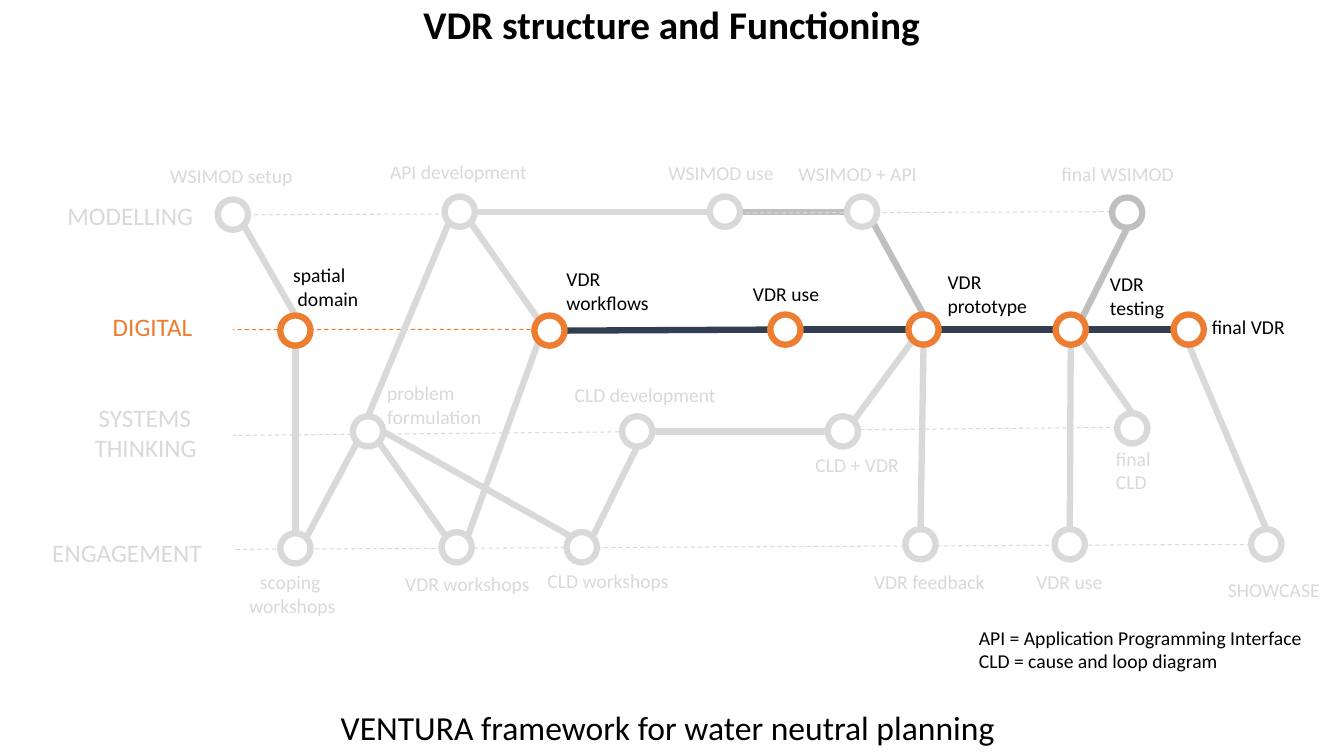
"""Builds the VDR slide: a map of linked project milestones in four strands."""
from lxml.etree import SubElement
from pptx import Presentation
from pptx.dml.color import RGBColor
from pptx.enum.dml import MSO_LINE
from pptx.enum.shapes import MSO_CONNECTOR, MSO_SHAPE
from pptx.enum.text import MSO_ANCHOR, MSO_AUTO_SIZE, PP_ALIGN
from pptx.oxml.ns import qn
from pptx.util import Pt

EMU_PER_PX = 9144
FONT = "Calibri"
BLACK, WHITE, PALE, GREY = "000000", "FFFFFF", "D9D9D9", "BFBFBF"
ORANGE, NAVY = "ED7D31", "333F50"
RADIUS = 15
DIAGONAL = 11
SITES = {
    "N": (0, -RADIUS), "S": (0, RADIUS), "W": (-RADIUS, 0), "E": (RADIUS, 0),
    "NW": (-DIAGONAL, -DIAGONAL), "NE": (DIAGONAL, -DIAGONAL),
    "SW": (-DIAGONAL, DIAGONAL), "SE": (DIAGONAL, DIAGONAL),
}

MILESTONES = {
    "wsimod setup": (231, 213, PALE),
    "api": (456, 210, PALE),
    "wsimod use": (719, 210, PALE),
    "wsimod api": (855, 210, PALE),
    "final wsimod": (1118, 211, GREY),
    "spatial domain": (293, 328, ORANGE),
    "workflows": (545, 328, ORANGE),
    "vdr use": (779, 327, ORANGE),
    "prototype": (916, 327, ORANGE),
    "testing": (1062, 327, ORANGE),
    "final vdr": (1179, 327, ORANGE),
    "problem": (365, 428, PALE),
    "cld development": (632, 428, PALE),
    "cld vdr": (836, 428, PALE),
    "final cld": (1123, 425, PALE),
    "scoping": (293, 544, PALE),
    "vdr workshops": (453, 543, PALE),
    "cld workshops": (577, 543, PALE),
    "feedback": (913, 540, PALE),
    "vdr trial": (1061, 540, PALE),
    "showcase": (1256, 540, PALE),
}

LINKS = [
    ("final vdr", "S", "showcase", "N", PALE),
    ("final cld", "N", "testing", "SE", PALE),
    ("final wsimod", "S", "testing", "NE", GREY),
    ("final vdr", "W", "testing", "E", NAVY),
    ("testing", "S", "vdr trial", "N", PALE),
    ("testing", "W", "prototype", "E", NAVY),
    ("prototype", "S", "feedback", "N", PALE),
    ("prototype", "W", "vdr use", "E", NAVY),
    ("wsimod api", "W", "wsimod use", "E", GREY),
    ("prototype", "N", "wsimod api", "SE", GREY),
    ("prototype", "SW", "cld vdr", "NE", PALE),
    ("cld workshops", "NW", "problem", "E", PALE),
    ("cld development", "S", "cld workshops", "NE", PALE),
    ("wsimod use", "W", "api", "E", PALE),
    ("api", "SE", "workflows", "NW", PALE),
    ("workflows", "SW", "vdr workshops", "NE", PALE),
    ("vdr workshops", "NW", "problem", "SE", PALE),
    ("api", "SW", "problem", "N", PALE),
    ("problem", "SW", "scoping", "NE", PALE),
    ("wsimod setup", "SE", "spatial domain", "N", PALE),
    ("spatial domain", "S", "scoping", "N", PALE),
    ("vdr use", "W", "workflows", "E", NAVY),
    ("cld vdr", "W", "cld development", "E", PALE),
]

DIGITAL_GUIDE = ((1164, 326), (231, 327))
OTHER_GUIDES = [
    ((245, 213), (1103, 210)),
    ((1241, 540), (231, 545)),
    ((1108, 424), (231, 432)),
]

STRANDS = [
    (57, 194, 146, ["MODELLING"], PALE, PP_ALIGN.LEFT),
    (102, 304, 100, ["DIGITAL"], ORANGE, PP_ALIGN.LEFT),
    (82, 394, 123, ["SYSTEMS ", "THINKING"], PALE, PP_ALIGN.RIGHT),
    (42, 528, 170, ["ENGAGEMENT"], PALE, PP_ALIGN.LEFT),
]

LABELS = [
    (159, 158, 143, ["WSIMOD setup"], PALE),
    (377, 154, 157, ["API development"], PALE),
    (653, 155, 130, ["WSIMOD use"], PALE),
    (782, 156, 138, ["WSIMOD + API"], PALE),
    (1043, 156, 137, ["final WSIMOD"], PALE),
    (281, 256, 85, ["spatial", " domain"], BLACK),
    (552, 260, 103, ["VDR", "workflows"], BLACK),
    (737, 275, 86, ["VDR use"], BLACK),
    (930, 263, 100, ["VDR", "prototype"], BLACK),
    (1091, 265, 75, ["VDR", "testing"], BLACK),
    (1192, 308, 98, ["final VDR"], BLACK),
    (374, 373, 115, ["problem", "formulation"], PALE),
    (560, 375, 162, ["CLD development"], PALE),
    (799, 444, 104, ["CLD + VDR"], PALE),
    (1097, 438, 59, ["final", "CLD"], PALE),
    (392, 562, 145, ["VDR workshops"], PALE),
    (533, 559, 142, ["CLD workshops"], PALE),
    (857, 561, 131, ["VDR feedback"], PALE),
    (1018, 561, 86, ["VDR use"], PALE),
    (1208, 568, 112, ["SHOWCASE"], PALE),
    (961, 616, 343,
     ["API = Application Programming Interface", "CLD = cause and loop diagram"], BLACK),
]


def px(*lengths):
    return [length * EMU_PER_PX for length in lengths]


def rgb(value):
    return RGBColor.from_string(value)


def write_line(paragraph, text, size, color, align, bold=False):
    paragraph.alignment = align
    run = paragraph.add_run()
    run.text = text
    run.font.name = FONT
    run.font.size = Pt(size)
    run.font.bold = bold
    run.font.color.rgb = rgb(color)


def add_label(slide, left, top, width, lines, color, align=PP_ALIGN.LEFT, size=14):
    height = round(10 + len(lines) * size * 1.68)
    frame = slide.shapes.add_textbox(*px(left, top, width, height)).text_frame
    frame.word_wrap = False
    frame.auto_size = MSO_AUTO_SIZE.SHAPE_TO_FIT_TEXT
    for index, line in enumerate(lines):
        paragraph = frame.add_paragraph() if index else frame.paragraphs[0]
        write_line(paragraph, line, size, color, align)


def fill_banner(shape, top, text, size, bold=False):
    shape.left, shape.top, shape.width, shape.height = px(91, top, 1150, 50)
    frame = shape.text_frame
    frame.word_wrap = True
    frame.auto_size = MSO_AUTO_SIZE.NONE
    frame.vertical_anchor = MSO_ANCHOR.MIDDLE
    paragraph = frame.paragraphs[0]
    paragraph.line_spacing = 0.9
    write_line(paragraph, text, size, BLACK, PP_ALIGN.CENTER, bold)


def add_line(slide, start, end, color, width):
    connector = slide.shapes.add_connector(MSO_CONNECTOR.STRAIGHT, *px(*start, *end))
    connector.line.color.rgb = rgb(color)
    connector.line.width = Pt(width)
    SubElement(connector._element.spPr, qn("a:effectLst"))
    return connector


def add_guide(slide, start, end, color):
    add_line(slide, start, end, color, 0.75).line.dash_style = MSO_LINE.DASH


def site_point(milestone, site):
    x, y, _ = MILESTONES[milestone]
    across, down = SITES[site]
    return x + across, y + down


def add_milestone(slide, x, y, color):
    box = px(x - RADIUS, y - RADIUS, 2 * RADIUS, 2 * RADIUS)
    shape = slide.shapes.add_shape(MSO_SHAPE.OVAL, *box)
    shape.shadow.inherit = False
    shape.fill.solid()
    shape.fill.fore_color.rgb = rgb(WHITE)
    shape.line.color.rgb = rgb(color)
    shape.line.width = Pt(4.5)


def main():
    presentation = Presentation()
    presentation.slide_width, presentation.slide_height = px(1333, 750)
    slide = presentation.slides.add_slide(presentation.slide_layouts[5])
    fill_banner(slide.shapes.title, 2, "VDR structure and Functioning", 28, bold=True)
    add_guide(slide, *DIGITAL_GUIDE, ORANGE)
    for source, source_site, target, target_site, color in LINKS:
        add_line(slide, site_point(source, source_site),
                 site_point(target, target_site), color, 4.5)
    for start, end in OTHER_GUIDES:
        add_guide(slide, start, end, PALE)
    for x, y, color in MILESTONES.values():
        add_milestone(slide, x, y, color)
    for strand in STRANDS:
        add_label(slide, *strand, size=18)
    for label in LABELS:
        add_label(slide, *label)
    add_label(slide, 237, 561, 106, ["scoping ", "workshops"], PALE, PP_ALIGN.CENTER)
    footer = slide.shapes.add_textbox(*px(91, 699, 1150, 50))
    fill_banner(footer, 699, "VENTURA framework for water neutral planning ", 24)
    presentation.save("out.pptx")


if __name__ == "__main__":
    main()
